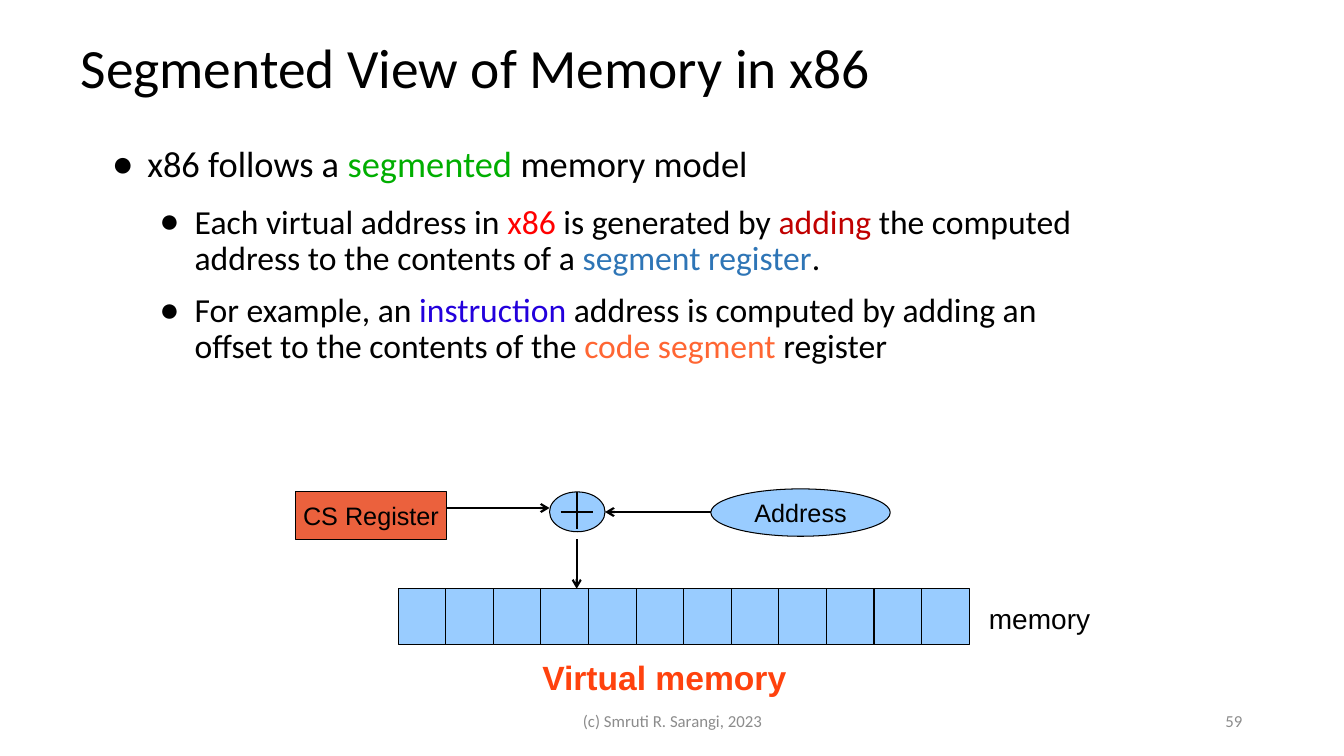
from dataclasses import dataclass
from typing import Optional

from lxml.etree import SubElement
from pptx import Presentation
from pptx.dml.color import RGBColor
from pptx.enum.shapes import MSO_CONNECTOR, MSO_SHAPE
from pptx.enum.text import MSO_ANCHOR as Anchor, MSO_AUTO_SIZE as AutoSize, PP_ALIGN as Align
from pptx.oxml.ns import qn
from pptx.util import Inches, Pt

SLIDE_WIDTH, SLIDE_HEIGHT = Inches(13.33), Inches(7.5)
COLORS = {
    "black": "000000", "green": "00AE00", "red": "FF0000", "dark red": "C00000",
    "blue": "2E75B6", "violet": "2300DC", "orange": "FF6633", "cell": "99CCFF",
    "register": "EB613D", "caption": "FF420E", "gray": "8C8C8C",
}


@dataclass(frozen=True)
class Area:
    """Left, top, width and height in percent of the slide."""
    left: float
    top: float
    width: float
    height: float


@dataclass(frozen=True)
class Block:
    area: Area
    kind: MSO_SHAPE = MSO_SHAPE.RECTANGLE
    color: str = "cell"
    text: str = ""


@dataclass(frozen=True)
class Line:
    start: tuple[float, float]
    end: tuple[float, float]
    arrow: bool = True


@dataclass(frozen=True)
class Label:
    area: Area
    text: str
    size: float
    font: str = "Arial"
    color: str = "black"
    bold: bool = False
    align: Align = Align.LEFT
    anchor: Anchor = Anchor.TOP
    wrap: bool = False


@dataclass(frozen=True)
class Bullet:
    level: int
    size: float
    space_after: float
    phrases: tuple[tuple[str, str], ...]


BULLETS = [
    Bullet(0, 26, 14.1, (
        ("x86 follows a ", "black"), ("segmented", "green"), (" memory model", "black"))),
    Bullet(1, 24, 11.3, (
        ("Each virtual address in ", "black"), ("x86", "red"),
        (" is generated by ", "black"), ("adding", "dark red"),
        (" the computed\naddress to the contents of a ", "black"),
        ("segment register", "blue"), (".", "black"))),
    Bullet(1, 24, 11.3, (
        ("For example, an ", "black"), ("instruction", "violet"),
        (" address is computed by adding an\noffset to the contents of the ", "black"),
        ("code segment ", "orange"), ("register", "black"))),
]

CELL_COUNT, CELL_WIDTH, MEMORY_LEFT, MEMORY_TOP = 12, 3.54, 29.63, 77.87
MEMORY_CELLS = [
    Block(Area(MEMORY_LEFT + i * CELL_WIDTH, MEMORY_TOP, CELL_WIDTH, 7.4))
    for i in range(CELL_COUNT)
]
OPERANDS = [
    Block(Area(21.98, 65.07, 11.25, 6.27), color="register", text="CS Register"),
    Block(Area(52.89, 64.67, 13.35, 6.27), MSO_SHAPE.OVAL, text="Address"),
    Block(Area(40.89, 65.07, 4.13, 5.27), MSO_SHAPE.OVAL),
]
LINES = [
    Line((41.71, 67.73), (44.11, 67.73), arrow=False),
    Line((42.91, 65.07), (42.91, 70), arrow=False),
    Line((33.23, 67.2), (40.89, 67.2)),
    Line((52.89, 67.73), (45.02, 67.73)),
    Line((42.91, 71.33), (42.91, MEMORY_TOP)),
]
LABELS = [
    Label(Area(72.84, 78.93, 9.08, 5.6), "memory", 20),
    Label(Area(39.61, 86.27, 19.81, 6.53), "Virtual memory", 24, color="caption", bold=True),
    Label(Area(70.67, 92.67, 22.51, 5.33), "59", 12, "Calibri", "gray",
          align=Align.RIGHT, anchor=Anchor.MIDDLE, wrap=True),
    Label(Area(33.16, 92.67, 33.76, 5.33), "(c) Smruti R. Sarangi, 2023", 12, "Calibri", "gray",
          align=Align.CENTER, anchor=Anchor.MIDDLE, wrap=True),
]


def rgb(name: str) -> RGBColor:
    return RGBColor.from_string(COLORS[name])


def across(share: float) -> int:
    return round(SLIDE_WIDTH * share / 100)


def down(share: float) -> int:
    return round(SLIDE_HEIGHT * share / 100)


def bounds(area: Area) -> tuple[int, int, int, int]:
    return across(area.left), down(area.top), across(area.width), down(area.height)


def style(run, size: float, font: str = "Calibri", color: str = "black",
          bold: Optional[bool] = None) -> None:
    run.font.size, run.font.name, run.font.bold = Pt(size), font, bold
    run.font.color.rgb = rgb(color)


def prepare_placeholder(placeholder, area: Area, anchor: Anchor):
    placeholder.left, placeholder.top, placeholder.width, placeholder.height = bounds(area)
    frame = placeholder.text_frame
    frame.margin_left = frame.margin_right = frame.margin_top = frame.margin_bottom = 0
    frame.auto_size, frame.word_wrap, frame.vertical_anchor = AutoSize.NONE, True, anchor
    return frame


def write_title(placeholder, text: str) -> None:
    frame = prepare_placeholder(placeholder, Area(6, 2.53, 60.84, 13.6), Anchor.MIDDLE)
    frame.text = text
    heading = frame.paragraphs[0]
    heading.alignment, heading.line_spacing = Align.LEFT, 0.9
    style(heading.runs[0], 39.6)


def write_bullet(paragraph, bullet: Bullet) -> None:
    properties = paragraph._p.get_or_add_pPr()
    properties.set("marL", str(Inches(0.47 * (bullet.level + 1))))
    properties.set("indent", str(Inches(-0.35)))
    SubElement(properties, qn("a:buFont"), typeface="Arial")
    SubElement(properties, qn("a:buChar"), char="●")
    paragraph.level, paragraph.line_spacing = bullet.level, 0.9
    paragraph.space_before, paragraph.space_after = Pt(0), Pt(bullet.space_after)
    for text, color in bullet.phrases:
        for index, piece in enumerate(text.split("\n")):
            if index:
                paragraph.add_line_break()
            run = paragraph.add_run()
            run.text = piece
            style(run, bullet.size, color=color)


def write_body(placeholder) -> None:
    frame = prepare_placeholder(placeholder, Area(7.43, 19.33, 79.97, 33.73), Anchor.TOP)
    for index, bullet in enumerate(BULLETS):
        write_bullet(frame.add_paragraph() if index else frame.paragraphs[0], bullet)


def draw_block(slide, block: Block) -> None:
    shape = slide.shapes.add_shape(block.kind, *bounds(block.area))
    shape.shadow.inherit = False
    shape.fill.solid()
    shape.fill.fore_color.rgb = rgb(block.color)
    shape.line.color.rgb, shape.line.width = rgb("black"), Pt(0)
    if block.text:
        frame = shape.text_frame
        frame.text, frame.word_wrap, frame.vertical_anchor = block.text, False, Anchor.MIDDLE
        frame.paragraphs[0].alignment = Align.CENTER
        style(frame.paragraphs[0].runs[0], 18, "Arial")


def draw_line(slide, line: Line) -> None:
    (x1, y1), (x2, y2) = line.start, line.end
    connector = slide.shapes.add_connector(
        MSO_CONNECTOR.STRAIGHT, across(x1), down(y1), across(x2), down(y2))
    connector.line.color.rgb, connector.line.width = rgb("black"), Pt(1.5)
    properties = connector._element.spPr
    if line.arrow:
        SubElement(properties.find(qn("a:ln")), qn("a:tailEnd"), type="arrow")
    SubElement(properties, qn("a:effectLst"))


def draw_label(slide, label: Label) -> None:
    frame = slide.shapes.add_textbox(*bounds(label.area)).text_frame
    frame.text, frame.word_wrap, frame.vertical_anchor = label.text, label.wrap, label.anchor
    frame.auto_size = AutoSize.NONE if label.wrap else AutoSize.SHAPE_TO_FIT_TEXT
    frame.paragraphs[0].alignment = label.align
    style(frame.paragraphs[0].runs[0], label.size, label.font, label.color, label.bold)


def main() -> None:
    deck = Presentation()
    deck.slide_width, deck.slide_height = SLIDE_WIDTH, SLIDE_HEIGHT
    slide = deck.slides.add_slide(deck.slide_layouts[1])
    write_title(slide.shapes.title, "Segmented View of Memory in x86")
    write_body(slide.placeholders[1])
    for block in MEMORY_CELLS + OPERANDS:
        draw_block(slide, block)
    for line in LINES:
        draw_line(slide, line)
    for label in LABELS:
        draw_label(slide, label)
    deck.save("out.pptx")


if __name__ == "__main__":
    main()
